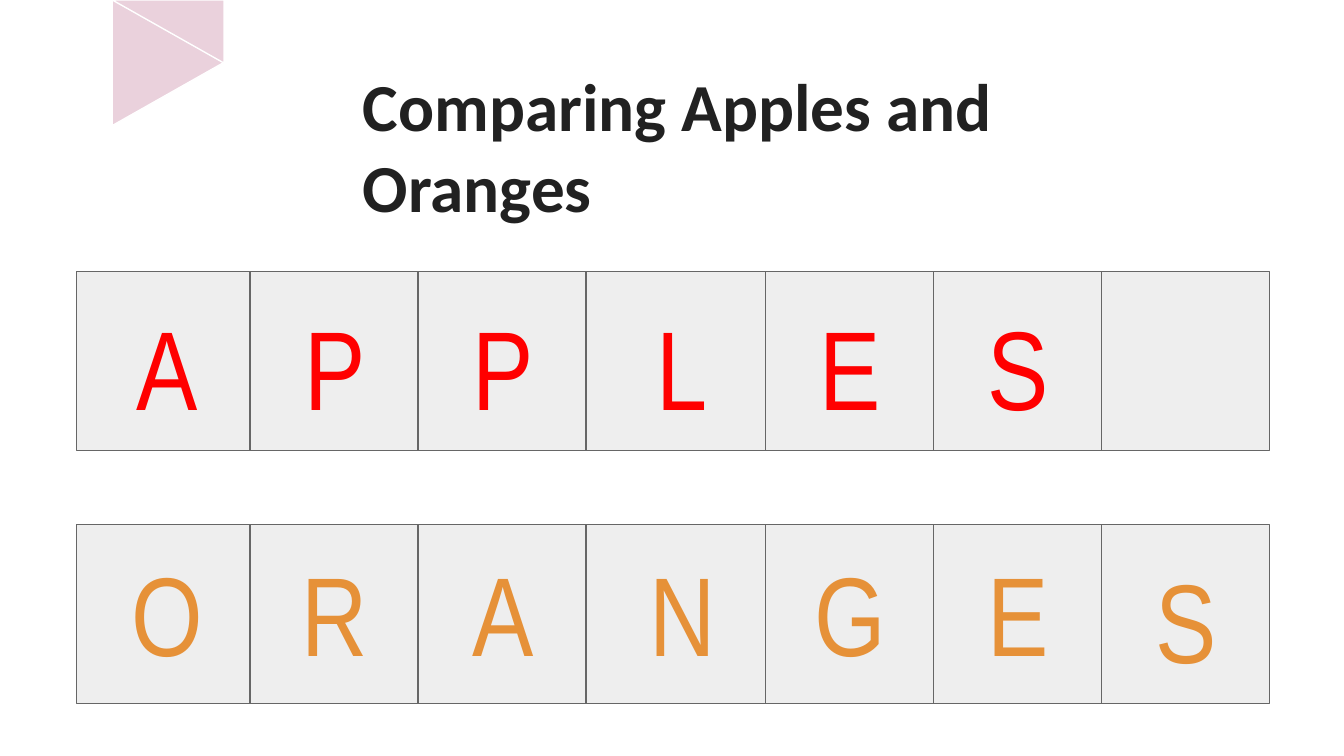
from dataclasses import dataclass
from itertools import accumulate

from lxml import etree
from pptx import Presentation
from pptx.dml.color import RGBColor
from pptx.enum.shapes import MSO_CONNECTOR, MSO_SHAPE
from pptx.enum.text import MSO_ANCHOR, MSO_AUTO_SIZE, PP_ALIGN
from pptx.oxml.ns import qn
from pptx.util import Pt

RECTANGLE = MSO_SHAPE.RECTANGLE
TRIANGLE = MSO_SHAPE.ISOSCELES_TRIANGLE
RIGHT_TRIANGLE = MSO_SHAPE.RIGHT_TRIANGLE
STRAIGHT = MSO_CONNECTOR.STRAIGHT
TOP = MSO_ANCHOR.TOP
NO_AUTOFIT = MSO_AUTO_SIZE.NONE
LEFT, CENTER = PP_ALIGN.LEFT, PP_ALIGN.CENTER
TITLE_ONLY = 5


@dataclass(frozen=True)
class Theme:
    pink: str = "EAD1DC"
    white: str = "FFFFFF"
    tile: str = "EEEEEE"
    border: str = "666666"
    ink: str = "212121"
    apple: str = "FF0000"
    orange: str = "E69138"
    title_font: str = "Calibri"
    letter_font: str = "Arial Narrow"
    title_size: float = 36
    letter_size: float = 60
    line_width: float = 0.75
    inset: float = 7.2


class SlideBuilder:
    def __init__(self, slide, theme):
        self.slide = slide
        self.theme = theme

    def shape(self, kind, left, top, width, height, fill, line, rotation=0):
        shape = self.slide.shapes.add_shape(
            kind, Pt(left), Pt(top), Pt(width), Pt(height))
        shape.shadow.inherit = False
        shape.rotation = rotation
        shape.fill.solid()
        shape.fill.fore_color.rgb = RGBColor.from_string(fill)
        shape.line.color.rgb = RGBColor.from_string(line)
        shape.line.width = Pt(self.theme.line_width)

    def divider(self, x, top, bottom):
        divider = self.slide.shapes.add_connector(
            STRAIGHT, Pt(x), Pt(top), Pt(x), Pt(bottom))
        divider.line.color.rgb = RGBColor.from_string(self.theme.border)
        divider.line.width = Pt(self.theme.line_width)
        etree.SubElement(divider._element.spPr, qn("a:effectLst"))

    def set_text(self, box, text, font_name, size, color, align, bold=False):
        frame = box.text_frame
        frame.text = text
        frame.word_wrap = True
        frame.auto_size = NO_AUTOFIT
        frame.vertical_anchor = TOP
        frame.margin_left = frame.margin_right = Pt(self.theme.inset)
        frame.margin_top = frame.margin_bottom = Pt(self.theme.inset)
        paragraph = frame.paragraphs[0]
        paragraph.alignment = align
        font = paragraph.runs[0].font
        font.name, font.size, font.bold = font_name, Pt(size), bold
        font.color.rgb = RGBColor.from_string(color)

    def title(self, text, left, top, width, height):
        title = self.slide.shapes.title
        title.left, title.top = Pt(left), Pt(top)
        title.width, title.height = Pt(width), Pt(height)
        self.set_text(title, text, self.theme.title_font, self.theme.title_size,
                      self.theme.ink, LEFT, bold=True)

    def letter(self, text, left, top, width, height, color):
        box = self.slide.shapes.add_textbox(
            Pt(left), Pt(top), Pt(width), Pt(height))
        self.set_text(box, text, self.theme.letter_font, self.theme.letter_size,
                      color, CENTER)


def main():
    theme = Theme()
    deck = Presentation()
    deck.slide_width, deck.slide_height = Pt(720), Pt(405)
    slide = deck.slides.add_slide(deck.slide_layouts[TITLE_ONLY])
    builder = SlideBuilder(slide, theme)

    # Corner ornament
    builder.shape(TRIANGLE, 56.2, 3.6, 67.6, 59.8, theme.pink, theme.white, 90)
    builder.shape(RIGHT_TRIANGLE, 60.2, 0, 59.8, 33.8, theme.pink, theme.white, 180)

    # Title
    builder.title("Comparing Apples and Oranges", 187.2, 27.4, 383.8, 64.8)

    # Letter grid: column edges and the letter box inside each cell
    row_left, row_height = 41, 96
    edges = list(accumulate([93, 90, 90, 96, 90, 90, 90], initial=row_left))
    letter_width, letter_height, right_gap = 77, 88.6, 6

    # Word, colour, row top, offset of each letter below the row top
    rows = [
        ("APPLES", theme.apple, 145.4, [7.2] * 6),
        ("ORANGES", theme.orange, 281, [3.5] * 6 + [7.2]),
    ]
    for word, color, top, offsets in rows:
        builder.shape(RECTANGLE, row_left, top, edges[-1] - row_left, row_height,
                      theme.tile, theme.border)
        for x in edges[1:-1]:
            builder.divider(x, top, top + row_height)
        for letter, right, offset in zip(word, edges[1:], offsets):
            builder.letter(letter, right - right_gap - letter_width, top + offset,
                           letter_width, letter_height, color)

    deck.save("out.pptx")


if __name__ == "__main__":
    main()
